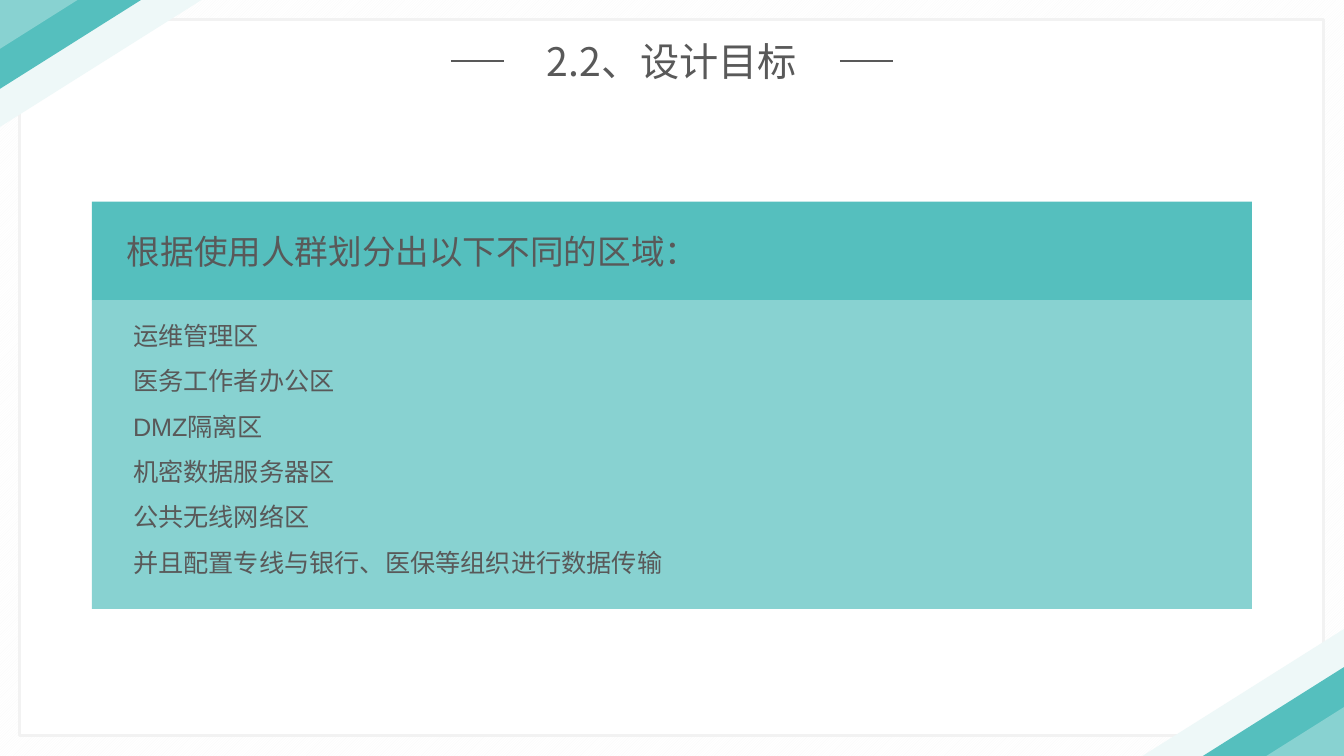
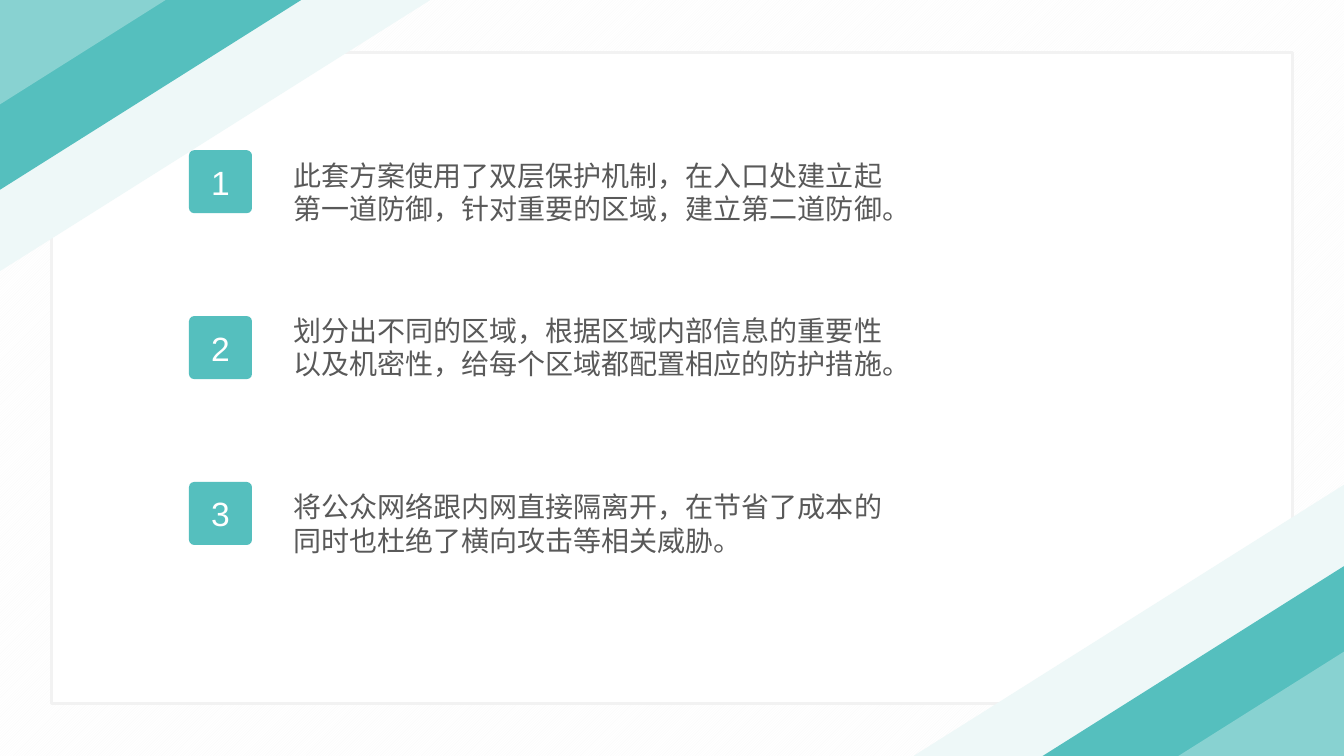
from pptx import Presentation
from pptx import util as u
from pptx.dml import color
from pptx.enum import dml, shapes, text
from pptx.oxml import xmlchemy
from lxml import etree

Pt = u.Pt
WIDTH, HEIGHT = 960, 540
TEAL, AQUA, MIST = "55BFBE", "88D2D1", "EEF8F8"
WHITE, STRIPE, EDGE, GREY = "FFFFFF", "F8F8F8", "F2F2F2", "595959"
LATIN, HAN = "Arial", "Noto Sans CJK SC"
BANDS = [(1, MIST), (0.7, TEAL), (0.385, AQUA)]
BAND_SLOPE = 0.63
DRAWING = "{http://schemas.openxmlformats.org/drawingml/2006/main}"

TITLE = "2.2、设计目标"
HEADING = "根据使用人群划分出以下不同的区域："
ZONES = [
    "运维管理区",
    "医务工作者办公区",
    "DMZ隔离区",
    "机密数据服务器区",
    "公共无线网络区",
    "并且配置专线与银行、医保等组织进行数据传输",
]
POINTS = [
    (109.4, "此套方案使用了双层保护机制，在入口处建立起第一道防御，针对重要的区域，建立第二道防御。"),
    (220.3, "划分出不同的区域，根据区域内部信息的重要性以及机密性，给每个区域都配置相应的防护措施。"),
    (346.3, "将公众网络跟内网直接隔离开，在节省了成本的同时也杜绝了横向攻击等相关威胁。"),
]


def rgb(value):
    """Turn a hex string into a colour."""
    return color.RGBColor.from_string(value)


def add_block(page, kind, left, top, width, height, fill, edge=None):
    """Add a flat preset shape."""
    block = page.shapes.add_shape(kind, Pt(left), Pt(top), Pt(width), Pt(height))
    block.shadow.inherit = False
    block.fill.solid()
    block.fill.fore_color.rgb = rgb(fill)
    if edge:
        block.line.color.rgb = rgb(edge)
        block.line.width = Pt(2.25)
    else:
        block.line.fill.background()
    return block


def write(box, lines, size, font=HAN, ink=GREY, align=text.PP_ALIGN.LEFT,
          anchor=text.MSO_ANCHOR.TOP, spacing=None, insets=(7.2, 3.6)):
    """Fill a box with one paragraph per line."""
    frame = box.text_frame
    frame.word_wrap = True
    frame.vertical_anchor = anchor
    frame.margin_left, frame.margin_right = Pt(insets[0]), Pt(min(insets[0], 7.2))
    frame.margin_top = frame.margin_bottom = Pt(insets[1])
    for index, line in enumerate(lines):
        para = frame.add_paragraph() if index else frame.paragraphs[0]
        para.alignment = align
        para.line_spacing = spacing
        span = para.add_run()
        span.text = line
        span.font.name = font
        span.font.size = Pt(size)
        span.font.color.rgb = rgb(ink)
        etree.SubElement(span.font._element, DRAWING + "ea", typeface=HAN)


def add_text(page, left, top, width, height, lines, size, **style):
    """Add a text box."""
    box = page.shapes.add_textbox(Pt(left), Pt(top), Pt(width), Pt(height))
    write(box, lines, size, **style)


def add_rule(page, start, end, y):
    """Add a thin horizontal line."""
    rule = page.shapes.add_connector(
        shapes.MSO_CONNECTOR.STRAIGHT, Pt(start), Pt(y), Pt(end), Pt(y))
    rule.line.color.rgb = rgb(GREY)
    rule.line.width = Pt(1.5)
    etree.SubElement(rule._element.spPr, DRAWING + "effectLst")


def add_corners(page, reach):
    """Add diagonal bands in the lower right and upper left corners."""
    for lower in (True, False):
        for share, fill in BANDS:
            width = reach * share
            height = width * BAND_SLOPE
            left, top = (WIDTH - width, HEIGHT - height) if lower else (0, 0)
            band = add_block(page, shapes.MSO_SHAPE.RIGHT_TRIANGLE,
                             left, top, width, height, fill)
            band.rotation = 180 if lower else 0
            band._element.spPr.xfrm.set("flipV", "1")


def add_page(deck, frame, reach):
    """Add a slide with striped backdrop, white frame and corners."""
    page = deck.slides.add_slide(deck.slide_layouts[6])
    backdrop = add_block(page, shapes.MSO_SHAPE.RECTANGLE, 0, 0, WIDTH, HEIGHT, WHITE)
    backdrop.fill.patterned()
    backdrop.fill.pattern = dml.MSO_PATTERN.DARK_UPWARD_DIAGONAL
    backdrop.fill.fore_color.rgb = rgb(STRIPE)
    backdrop.fill.back_color.rgb = rgb(WHITE)
    add_block(page, shapes.MSO_SHAPE.RECTANGLE, *frame, WHITE, EDGE)
    add_corners(page, reach)
    return page


def build_goals(deck):
    """Build the slide that lists the zones."""
    page = add_page(deck, (13.7, 13.7, 932, 512), 144)
    add_text(page, 309, 23, 342, 41, [TITLE], 28, align=text.PP_ALIGN.CENTER)
    for start, end in ((120, 158), (-158, -120)):
        add_rule(page, WIDTH / 2 + start, WIDTH / 2 + end, 43.7)
    header = add_block(page, shapes.MSO_SHAPE.RECTANGLE, 65.7, 144, 828.6, 70.4, TEAL)
    write(header, [HEADING], 24, font=LATIN, anchor=text.MSO_ANCHOR.MIDDLE,
          insets=(25, 3.6))
    panel = add_block(page, shapes.MSO_SHAPE.RECTANGLE, 65.7, 214.4, 828.6, 220.6, AQUA)
    write(panel, ZONES, 18, font=LATIN, spacing=1.5, insets=(29.3, 3.6))


def build_points(deck):
    """Build the slide with three numbered points."""
    page = add_page(deck, (36.8, 37.3, 886.4, 465), 307.5)
    for index, (top, point) in enumerate(POINTS):
        badge = add_block(page, shapes.MSO_SHAPE.ROUNDED_RECTANGLE,
                          135, 107.3 + index * 118.5, 45, 45, TEAL)
        badge.adjustments[0] = 0.083
        write(badge, [str(index + 1)], 24, font=LATIN, ink=WHITE, insets=(0, 0),
              align=text.PP_ALIGN.CENTER, anchor=text.MSO_ANCHOR.MIDDLE)
        add_text(page, 202.3, top, 452, 55.4, [point], 20)


def main():
    """Build and save the deck."""
    deck = Presentation()
    deck.slide_width, deck.slide_height = Pt(WIDTH), Pt(HEIGHT)
    build_goals(deck)
    build_points(deck)
    deck.save("out.pptx")


if __name__ == "__main__":
    main()
